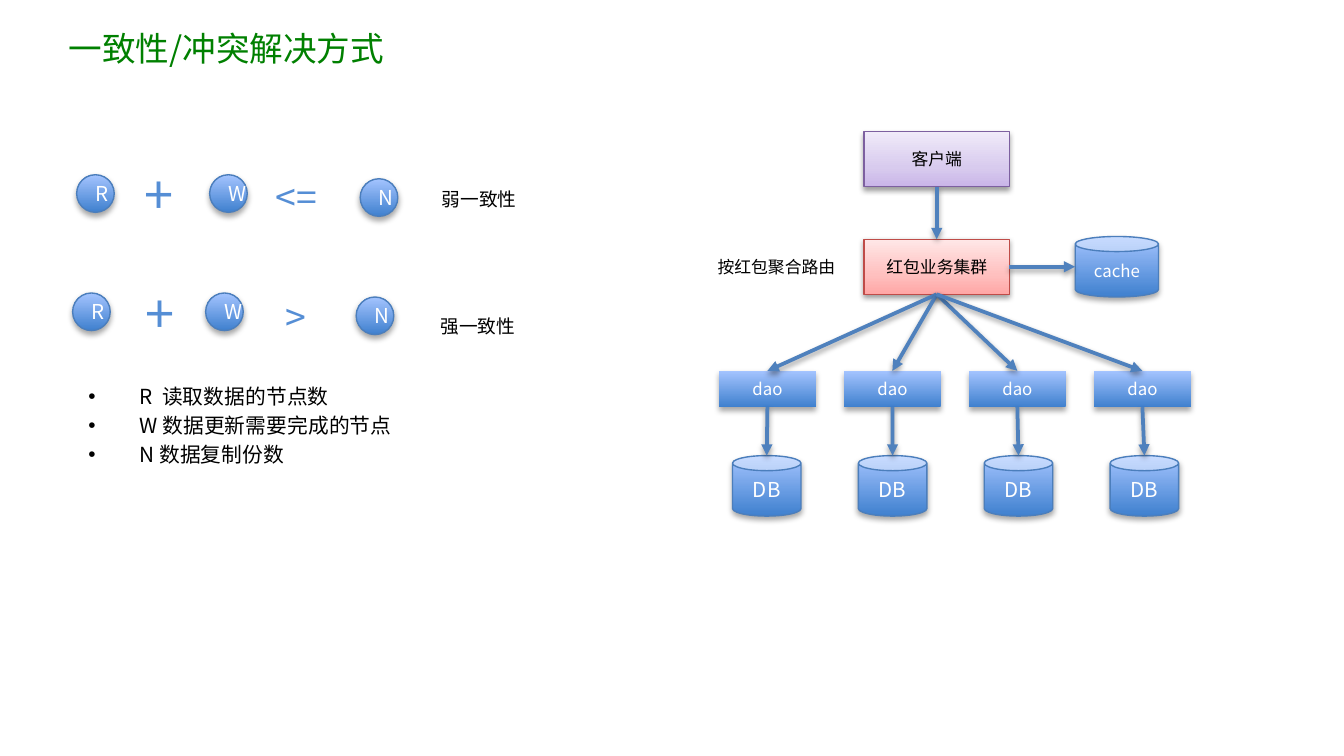
from lxml import etree
from pptx import Presentation
from pptx.dml.color import RGBColor
from pptx.enum import shapes, text
from pptx.oxml import parse_xml
from pptx.oxml.ns import nsdecls, qn
from pptx.util import Inches, Pt

FONT = "Noto Sans CJK SC"
COLOURS = {"title": "008000", "ink": "000000", "light": "FFFFFF",
           "sign": "558ED5", "arrow": "4F81BD"}
STYLES = {
    "blue": {"stops": [(0, "3F80CE"), (100, "A4C4FF")], "line": "4B7EBC",
             "ink": "light", "shadow": (35, 1.8)},
    "red": {"stops": [(0, "FFA6A5"), (35, "FFC0BF"), (100, "FFE7E7")],
            "line": "BF4C48", "ink": "ink", "shadow": (38, 1.6)},
    "purple": {"stops": [(0, "C9B5E8"), (35, "D8CBEE"), (100, "F0EAF9")],
               "line": "7D60A0", "ink": "ink", "shadow": (38, 1.6)},
}
STYLES["flat blue"] = {**STYLES["blue"], "line": None}
KIND = shapes.MSO_SHAPE


def write(para, words, size, colour):
    span = para.add_run()
    span.text = words
    for name, value in {"size": Pt(size), "name": FONT, "bold": False}.items():
        setattr(span.font, name, value)
    span.font.color.rgb = RGBColor.from_string(COLOURS[colour])
    etree.SubElement(span.font._element, qn("a:ea"), typeface=FONT)


def set_frame(frame, anchor):
    values = {"word_wrap": True, "vertical_anchor": anchor,
              "auto_size": text.MSO_AUTO_SIZE.NONE}
    for name, value in values.items():
        setattr(frame, name, value)


def add_shadow(item, opacity, distance):
    """Drop a soft black shadow straight down."""
    properties = item._element.spPr
    for old in properties.findall(qn("a:effectLst")):
        properties.remove(old)
    properties.append(parse_xml(
        f'<a:effectLst {nsdecls("a")}><a:outerShdw blurRad="{Pt(3.1)}" '
        f'dist="{Pt(distance)}" dir="5400000" rotWithShape="0">'
        f'<a:srgbClr val="000000"><a:alpha val="{opacity * 1000}"/></a:srgbClr>'
        '</a:outerShdw></a:effectLst>'))


def add_node(page, kind, box, words, size, style):
    look = STYLES[style]
    node = page.shapes.add_shape(kind, *map(Inches, box))
    stops = "".join(f'<a:gs pos="{place * 1000}"><a:srgbClr val="{colour}"/></a:gs>'
                    for place, colour in look["stops"])
    node._element.spPr.find(qn("a:prstGeom")).addnext(parse_xml(
        f'<a:gradFill {nsdecls("a")} rotWithShape="1"><a:gsLst>{stops}</a:gsLst>'
        '<a:lin ang="16200000" scaled="0"/></a:gradFill>'))
    if look["line"]:
        node.line.color.rgb = RGBColor.from_string(look["line"])
        node.line.width = Pt(0.75)
    else:
        node.line.fill.background()
    add_shadow(node, *look["shadow"])
    set_frame(node.text_frame, text.MSO_ANCHOR.MIDDLE)
    para = node.text_frame.paragraphs[0]
    para.alignment = text.PP_ALIGN.CENTER
    write(para, words, size, look["ink"])
    return node


def add_label(page, box, words, size, colour="ink"):
    label = page.shapes.add_textbox(*map(Inches, box))
    set_frame(label.text_frame, text.MSO_ANCHOR.TOP)
    write(label.text_frame.paragraphs[0], words, size, colour)


def add_arrow(page, start, end):
    arrow = page.shapes.add_connector(shapes.MSO_CONNECTOR.STRAIGHT, *start, *end)
    arrow.line.color.rgb = RGBColor.from_string(COLOURS["arrow"])
    arrow.line.width = Pt(2)
    etree.SubElement(arrow.line._get_or_add_ln(), qn("a:tailEnd"), type="triangle")
    add_shadow(arrow, 38, 1.6)


def top(node):
    return node.left + node.width // 2, node.top


def bottom(node):
    return node.left + node.width // 2, node.top + node.height


def add_title(page, box, words):
    title = page.shapes.title
    for name, value in zip(("left", "top", "width", "height"), box):
        setattr(title, name, Inches(value))
    set_frame(title.text_frame, text.MSO_ANCHOR.MIDDLE)
    para = title.text_frame.paragraphs[0]
    para.alignment = text.PP_ALIGN.LEFT
    write(para, words, 18, "title")


def add_formula(page, left, upper, plus, sign, verdict):
    """Draw R + W compared with N; plus, sign and verdict bring their own boxes."""
    for name, across, down in (("R", 0, 0), ("W", 0.99, 0), ("N", 2.11, 0.03)):
        add_node(page, KIND.FLOWCHART_CONNECTOR,
                 (left + across, upper + down, 0.28, 0.28), name, 11, "blue")
    add_label(page, plus, "+", 28, "sign")
    add_label(page, sign[0], sign[1], 20, "sign")
    add_label(page, verdict[0], verdict[1], 10)


def add_legend(page, box, lines):
    frame = page.shapes.add_textbox(*map(Inches, box)).text_frame
    set_frame(frame, text.MSO_ANCHOR.TOP)
    for index, words in enumerate(lines):
        para = frame.add_paragraph() if index else frame.paragraphs[0]
        para.space_before = Pt(2 if index else 0)
        properties = para._p.get_or_add_pPr()
        properties.set("marL", str(Inches(0.38)))
        properties.set("indent", str(-Inches(0.38)))
        etree.SubElement(properties, qn("a:buFont"), typeface="Arial")
        etree.SubElement(properties, qn("a:buChar"), char="•")
        write(para, words, 11.1, "ink")


def add_architecture(page, left, upper):
    """Draw client, cluster and cache above four dao and DB pairs."""
    client = add_node(page, KIND.RECTANGLE, (left + 1.08, upper, 1.08, 0.41),
                      "客户端", 9, "purple")
    cluster = add_node(page, KIND.RECTANGLE, (left + 1.08, upper + 0.8, 1.08, 0.41),
                       "红包业务集群", 9, "red")
    cache = add_node(page, KIND.CAN, (left + 2.65, upper + 0.78, 0.62, 0.45),
                     "cache", 9, "blue")
    add_label(page, (left - 0.11, upper + 0.88, 1.69, 0.25), "按红包聚合路由", 9)
    add_arrow(page, bottom(client), top(cluster))
    middle = cluster.top + cluster.height // 2
    add_arrow(page, (cluster.left + cluster.width, middle), (cache.left, middle))
    database_step = 2.81 / 3
    for index in range(4):
        dao = add_node(page, KIND.RECTANGLE,
                       (left + 0.93 * index, upper + 1.78, 0.72, 0.27),
                       "dao", 9, "flat blue")
        database = add_node(page, KIND.CAN,
                            (left + 0.1 + database_step * index, upper + 2.41, 0.51, 0.45),
                            "DB", 11, "blue")
        add_arrow(page, bottom(cluster), top(dao))
        add_arrow(page, bottom(dao), top(database))


def main():
    deck = Presentation()
    deck.slide_width = Inches(10)
    deck.slide_height = deck.slide_width * 9 // 16
    page = deck.slides.add_slide(deck.slide_layouts.get_by_name("Title Only"))
    add_title(page, (0.41, 0.15, 9, 0.41), "一致性/冲突解决方式")
    add_formula(page, 0.57, 1.3, (0.99, 1.16, 0.18, 0.57),
                ((1.95, 1.25, 0.69, 0.44), "<="),
                ((3.19, 1.35, 0.77, 0.27), "弱一致性"))
    add_formula(page, 0.54, 2.18, (1, 2.04, 0.18, 0.57),
                ((2.03, 2.14, 0.23, 0.44), ">"),
                ((3.18, 2.29, 0.8, 0.27), "强一致性"))
    add_legend(page, (0.56, 2.81, 2.47, 0.85),
               ["R  读取数据的节点数", "W 数据更新需要完成的节点", "N 数据复制份数"])
    add_architecture(page, 5.35, 0.98)
    deck.save("out.pptx")


if __name__ == "__main__":
    main()
